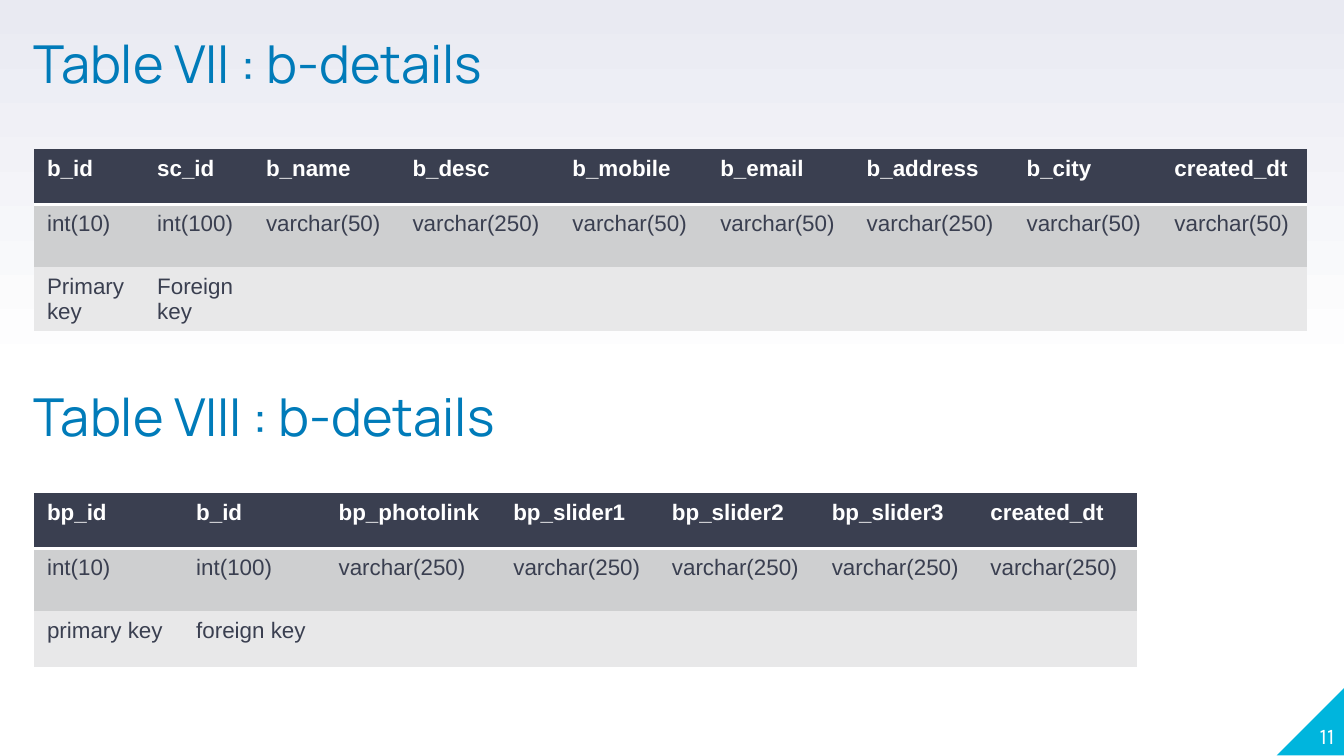
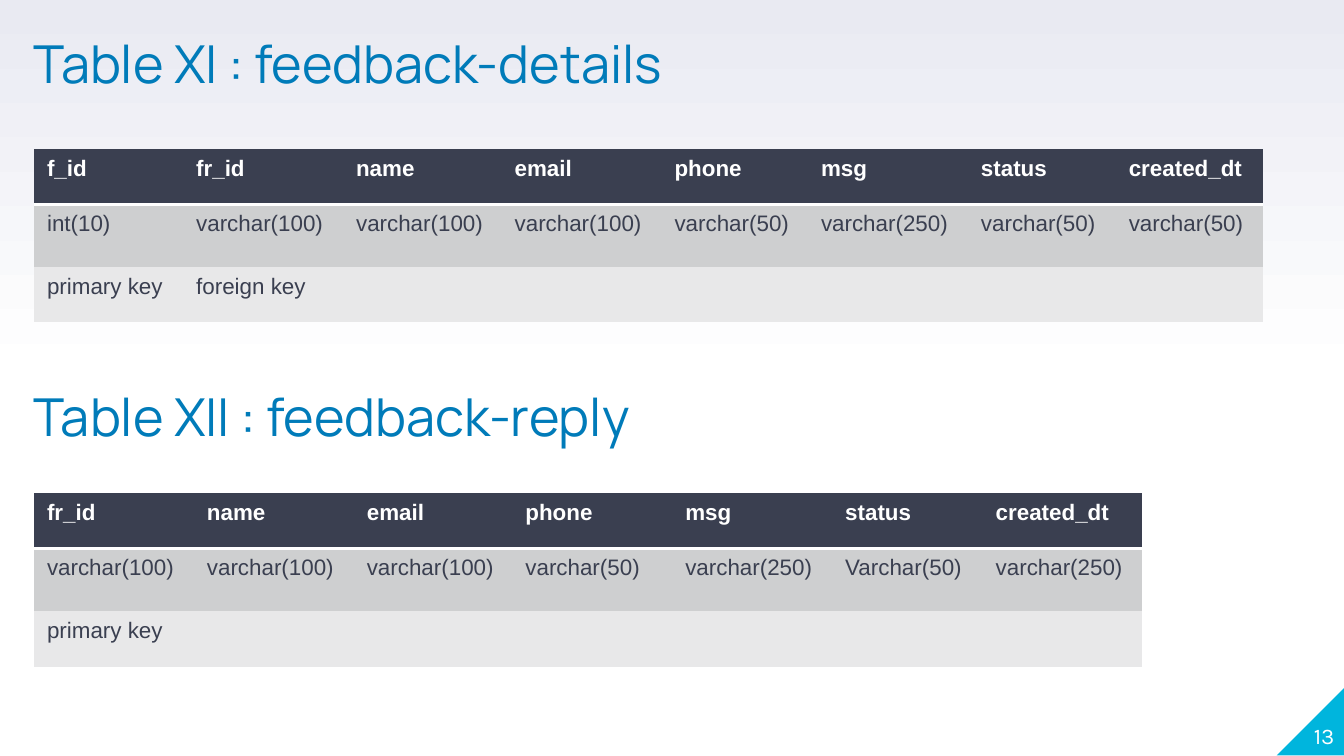
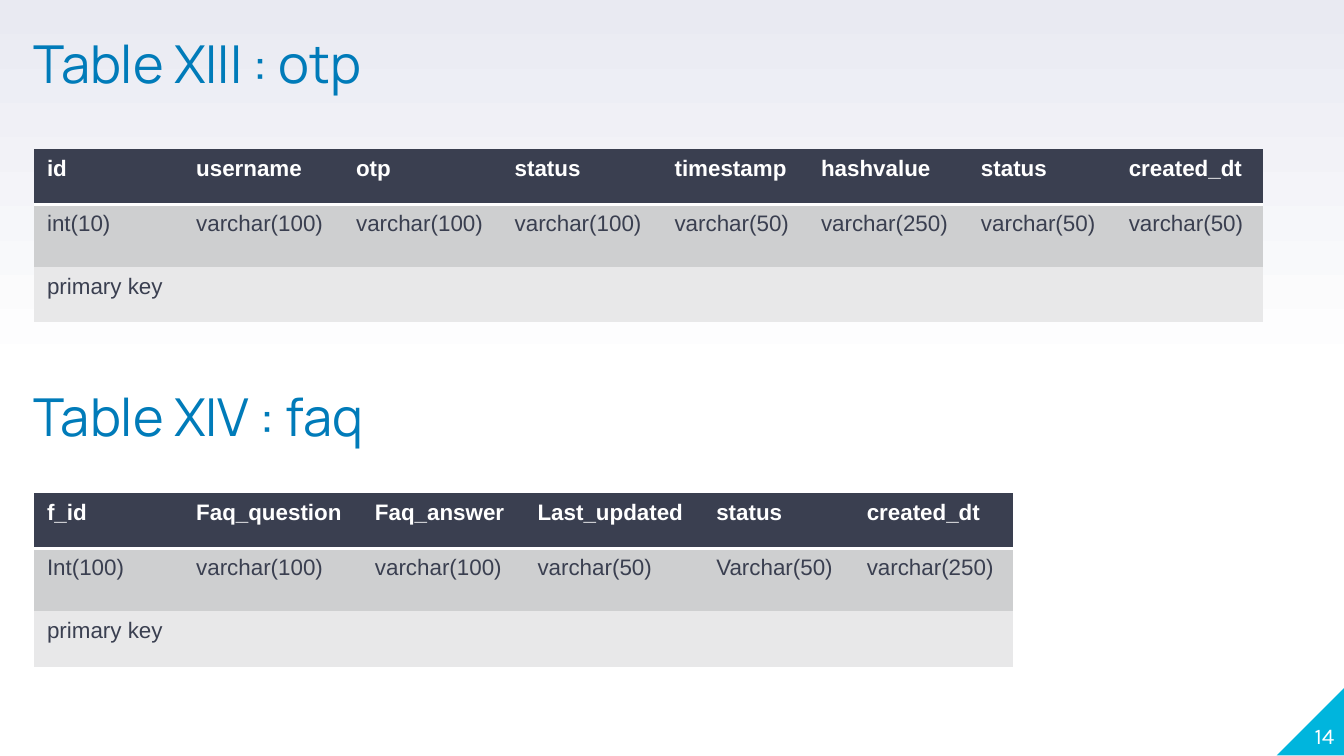
"""Build three slides that describe database tables, two tables to a slide."""

from copy import deepcopy
from dataclasses import dataclass

from lxml import etree
from pptx import Presentation
from pptx.dml.color import RGBColor
from pptx.enum.shapes import MSO_SHAPE
from pptx.enum.text import MSO_ANCHOR, MSO_AUTO_SIZE, PP_ALIGN
from pptx.oxml.ns import qn
from pptx.util import Inches, Pt

RIGHT_TRIANGLE = MSO_SHAPE.RIGHT_TRIANGLE
TOP, BOTTOM = MSO_ANCHOR.TOP, MSO_ANCHOR.BOTTOM
LEFT, RIGHT = PP_ALIGN.LEFT, PP_ALIGN.RIGHT
NO_AUTOFIT = MSO_AUTO_SIZE.NONE

WHITE = RGBColor(0xFF, 0xFF, 0xFF)
LAVENDER = RGBColor(0xE9, 0xEA, 0xF2)
CYAN = RGBColor(0x00, 0xB5, 0xDD)
BLUE = RGBColor(0x00, 0x7B, 0xB9)
SLATE = RGBColor(0x3A, 0x3F, 0x50)
GREY = RGBColor(0xCE, 0xCF, 0xD0)
PALE_GREY = RGBColor(0xE8, 0xE8, 0xE9)

SLIDE_WIDTH = Inches(10)
SLIDE_HEIGHT = SLIDE_WIDTH * 9 // 16
TITLE_ONLY = 5
NO_GRID_STYLE = "{2D5ABB26-0587-4C30-8999-92F81FD0307C}"
MARGIN = Inches(0.25)
HEADING_TOPS = (Inches(0.32), Inches(2.95))
TABLE_TOPS = (Inches(1.11), Inches(3.67))


@dataclass(frozen=True)
class TextStyle:
    """Look of a run of text."""

    font: str
    size: int
    color: RGBColor
    bold: bool = False


@dataclass(frozen=True)
class RowStyle:
    """Look of one table row."""

    fill: RGBColor
    text: TextStyle
    height: float


@dataclass(frozen=True)
class Field:
    """One column of a schema: its name, type, width in inches and key."""

    name: str
    kind: str
    width: float
    key: str = ""


@dataclass(frozen=True)
class Schema:
    """A heading and the fields of the table below it."""

    heading: str
    fields: tuple[Field, ...]


@dataclass(frozen=True)
class SchemaPage:
    """A slide number and the two schemas on that slide."""

    number: int
    schemas: tuple[Schema, Schema]


HEADING = TextStyle("Manrope", 28, BLUE)
PAGE_NUMBER = TextStyle("Karla", 12, WHITE)
HEADER_TEXT = TextStyle("Arial", 12, WHITE, True)
BODY_TEXT = TextStyle("Arial", 12, SLATE)
ROW_STYLES = (
    RowStyle(SLATE, HEADER_TEXT, 0.41),
    RowStyle(GREY, BODY_TEXT, 0.47),
    RowStyle(PALE_GREY, BODY_TEXT, 0.41),
)

PAGES = (
    SchemaPage(11, (
        Schema("Table VII : b-details", (
            Field("b_id", "int(10)", 0.82, "Primary key"),
            Field("sc_id", "int(100)", 0.81, "Foreign key"),
            Field("b_name", "varchar(50)", 1.09),
            Field("b_desc", "varchar(250)", 1.19),
            Field("b_mobile", "varchar(50)", 1.1),
            Field("b_email", "varchar(50)", 1.09),
            Field("b_address", "varchar(250)", 1.19),
            Field("b_city", "varchar(50)", 1.1),
            Field("created_dt", "varchar(50)", 1.09),
        )),
        Schema("Table VIII : b-details", (
            Field("bp_id", "int(10)", 1.11, "primary key"),
            Field("b_id", "int(100)", 1.06, "foreign key"),
            Field("bp_photolink", "varchar(250)", 1.3),
            Field("bp_slider1", "varchar(250)", 1.18),
            Field("bp_slider2", "varchar(250)", 1.19),
            Field("bp_slider3", "varchar(250)", 1.18),
            Field("created_dt", "varchar(250)", 1.19),
        )),
    )),
    SchemaPage(13, (
        Schema("Table XI : feedback-details", (
            Field("f_id", "int(10)", 1.11, "primary key"),
            Field("fr_id", "varchar(100)", 1.19, "foreign key"),
            Field("name", "varchar(100)", 1.18),
            Field("email", "varchar(100)", 1.19),
            Field("phone", "varchar(50)", 1.09),
            Field("msg", "varchar(250)", 1.19),
            Field("status", "varchar(50)", 1.1),
            Field("created_dt", "varchar(50)", 1.1),
        )),
        Schema("Table XII : feedback-reply", (
            Field("fr_id", "varchar(100)", 1.19, "primary key"),
            Field("name", "varchar(100)", 1.19),
            Field("email", "varchar(100)", 1.18),
            Field("phone", "varchar(50)", 1.19),
            Field("msg", "varchar(250)", 1.19),
            Field("status", "Varchar(50)", 1.12),
            Field("created_dt", "varchar(250)", 1.19),
        )),
    )),
    SchemaPage(14, (
        Schema("Table XIII : otp", (
            Field("id", "int(10)", 1.11, "primary key"),
            Field("username", "varchar(100)", 1.19),
            Field("otp", "varchar(100)", 1.18),
            Field("status", "varchar(100)", 1.19),
            Field("timestamp", "varchar(50)", 1.09),
            Field("hashvalue", "varchar(250)", 1.19),
            Field("status", "varchar(50)", 1.1),
            Field("created_dt", "varchar(50)", 1.1),
        )),
        Schema("Table XIV : faq", (
            Field("f_id", "Int(100)", 1.11, "primary key"),
            Field("Faq_question", "varchar(100)", 1.33),
            Field("Faq_answer", "varchar(100)", 1.21),
            Field("Last_updated", "varchar(50)", 1.33),
            Field("status", "Varchar(50)", 1.12),
            Field("created_dt", "varchar(250)", 1.19),
        )),
    )),
)


def paint_background(master) -> None:
    """Give every slide a gradient from white up to lavender."""
    fill = master.background.fill
    fill.gradient()
    fill.gradient_angle = 90
    stop_list = master.element.find(".//" + qn("a:gsLst"))
    stop_list.insert(1, deepcopy(stop_list[0]))
    stops = ((0, WHITE), (0.5, WHITE), (1, LAVENDER))
    for stop, (position, color) in zip(fill.gradient_stops, stops):
        stop.position = position
        stop.color.rgb = color


def add_span(para, text: str, style: TextStyle) -> None:
    """Add one styled run to a paragraph."""
    span = para.add_run()
    span.text = text
    span.font.name = style.font
    span.font.size = Pt(style.size)
    span.font.bold = style.bold
    span.font.color.rgb = style.color


def fill_frame(box, text: str, style: TextStyle, anchor, align):
    """Write one line in a frame without insets and return its paragraph."""
    frame = box.text_frame
    frame.margin_left = frame.margin_right = 0
    frame.margin_top = frame.margin_bottom = 0
    frame.word_wrap = True
    frame.auto_size = NO_AUTOFIT
    frame.vertical_anchor = anchor
    para = frame.paragraphs[0]
    para.alignment = align
    add_span(para, text, style)
    return para


def write_heading(box, text: str, top: int) -> None:
    """Place and write a schema heading."""
    box.left, box.top = MARGIN, top
    box.width, box.height = Inches(5.03), Inches(0.48)
    para = fill_frame(box, text, HEADING, TOP, LEFT)
    para.line_spacing = 0.8


def add_corner(page, number: int) -> None:
    """Draw the corner triangle with the slide number on it."""
    side = Inches(0.51)
    corner = page.shapes.add_shape(
        RIGHT_TRIANGLE, Inches(9.5), Inches(5.11), side, side)
    corner.shadow.inherit = False
    corner.fill.solid()
    corner.fill.fore_color.rgb = CYAN
    corner.line.fill.background()
    corner.element.spPr.find(qn("a:xfrm")).set("flipH", "1")
    box = page.shapes.add_textbox(Inches(9.43), Inches(5.06), Inches(0.5), side)
    fill_frame(box, str(number), PAGE_NUMBER, BOTTOM, RIGHT)


def underline_cell(cell) -> None:
    """Draw a white two-point border below a cell."""
    properties = cell._tc.get_or_add_tcPr()
    border = etree.Element(qn("a:lnB"), w=str(Pt(2)))
    solid = etree.SubElement(border, qn("a:solidFill"))
    etree.SubElement(solid, qn("a:srgbClr"), val=str(WHITE))
    properties.insert(0, border)


def add_schema_table(page, fields: tuple[Field, ...], top: int) -> None:
    """Add a table of field names, types and keys."""
    width = Inches(sum(field.width for field in fields))
    height = Inches(sum(style.height for style in ROW_STYLES))
    frame = page.shapes.add_table(
        len(ROW_STYLES), len(fields), MARGIN, top, width, height)
    table = frame.table
    table.horz_banding = False
    frame.element.find(".//" + qn("a:tableStyleId")).text = NO_GRID_STYLE
    for row, style in zip(table.rows, ROW_STYLES):
        row.height = Inches(style.height)
    for column_index, field in enumerate(fields):
        table.columns[column_index].width = Inches(field.width)
        texts = (field.name, field.kind, field.key)
        for row_index, (text, style) in enumerate(zip(texts, ROW_STYLES)):
            cell = table.cell(row_index, column_index)
            cell.fill.solid()
            cell.fill.fore_color.rgb = style.fill
            if text:
                add_span(cell.text_frame.paragraphs[0], text, style.text)
        underline_cell(table.cell(0, column_index))


def add_page(deck, content: SchemaPage) -> None:
    """Add a slide with two headed schema tables."""
    page = deck.slides.add_slide(deck.slide_layouts[TITLE_ONLY])
    add_corner(page, content.number)
    second_heading = page.shapes.add_textbox(0, 0, 0, 0)
    boxes = (page.shapes.title, second_heading)
    for box, schema, heading_top, table_top in zip(
            boxes, content.schemas, HEADING_TOPS, TABLE_TOPS):
        write_heading(box, schema.heading, heading_top)
        add_schema_table(page, schema.fields, table_top)


def main() -> None:
    """Build and save the deck."""
    deck = Presentation()
    deck.slide_width, deck.slide_height = SLIDE_WIDTH, SLIDE_HEIGHT
    paint_background(deck.slide_master)
    for content in PAGES:
        add_page(deck, content)
    deck.save("out.pptx")


if __name__ == "__main__":
    main()
